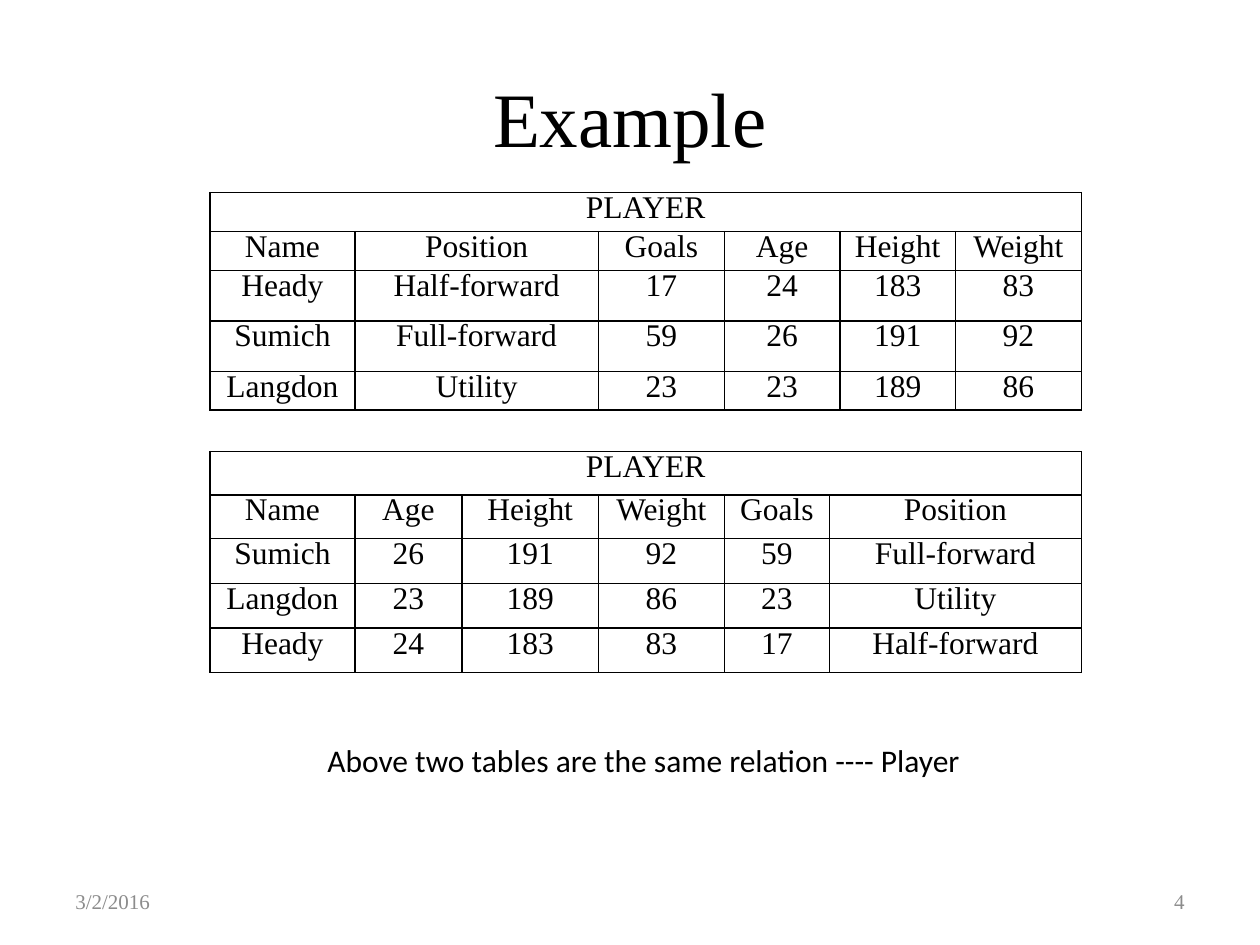
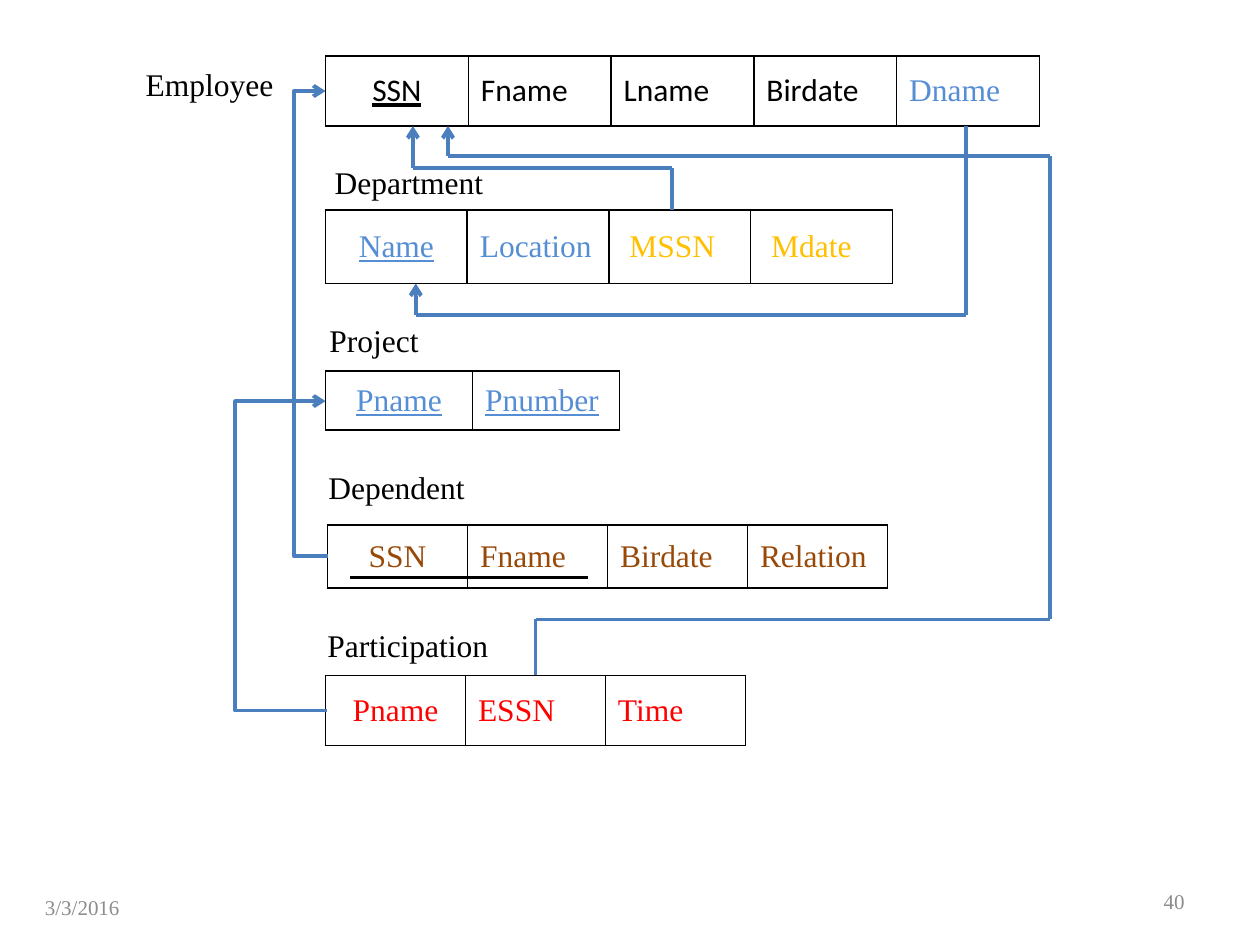
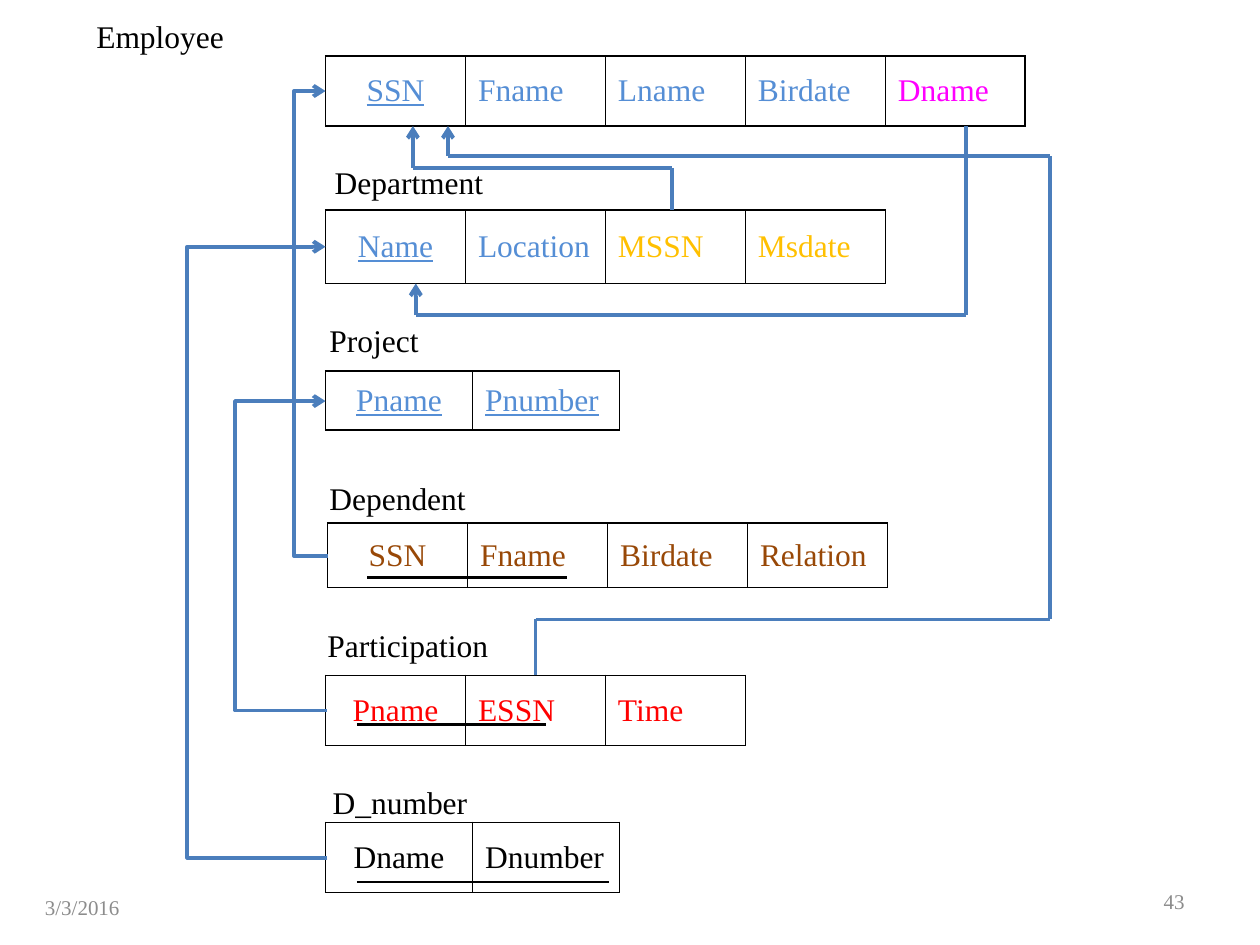
from dataclasses import dataclass
from itertools import pairwise

from lxml import etree
from pptx import Presentation
from pptx.dml.color import RGBColor
from pptx.enum.shapes import MSO_CONNECTOR
from pptx.enum.text import MSO_ANCHOR, MSO_AUTO_SIZE, PP_ALIGN
from pptx.oxml.ns import qn
from pptx.util import Inches, Pt

STRAIGHT, ELBOW = MSO_CONNECTOR.STRAIGHT, MSO_CONNECTOR.ELBOW
LEFT, CENTER, RIGHT = PP_ALIGN.LEFT, PP_ALIGN.CENTER, PP_ALIGN.RIGHT
TOP, MIDDLE = MSO_ANCHOR.TOP, MSO_ANCHOR.MIDDLE
GROW = MSO_AUTO_SIZE.SHAPE_TO_FIT_TEXT
TITLE_ONLY, BLANK = 5, 6

SERIF, SANS = "Times New Roman", "Calibri"
BLACK, GREY, BLUE, LINK = "000000", "8C8C8C", "558ED5", "4B7EBC"
GOLD, BROWN, RED, MAGENTA = "FFC000", "984807", "FF0000", "FF00FF"

# Grid: 120 columns by 90 rows, so one cell is a twelfth of an inch
WIDTH, HEIGHT = Inches(10), Inches(7.5)
CELL = WIDTH / 120
FIELD_LEFT = 31


def grid(*lengths):
    return [round(length * CELL) for length in lengths]


def rgb(colour):
    return RGBColor.from_string(colour)


@dataclass
class Field:
    text: str
    colour: str = BLACK
    font: str = SERIF
    key: bool = False


def fields(names, colour, font=SERIF, keys=()):
    return [Field(name, colour, font, name in keys) for name in names]


class Deck:
    """Holds the shared style and the slide being drawn."""

    def __init__(self):
        self.prs = Presentation()
        self.prs.slide_width, self.prs.slide_height = WIDTH, HEIGHT
        self.slide = None

    def start(self, layout, date, number, date_at=(3.1, 84)):
        self.slide = self.prs.slides.add_slide(self.prs.slide_layouts[layout])
        self.footer(date, date_at, LEFT)
        self.footer(number, (86, 83.4), RIGHT)

    def put_text(self, frame, text, size=18, colour=BLACK, font=SERIF,
                 align=LEFT, underline=None):
        paragraph = frame.paragraphs[0]
        paragraph.alignment = align
        run = paragraph.add_run()
        run.text = text
        run.font.size, run.font.name = Pt(size), font
        run.font.color.rgb = rgb(colour)
        run.font.underline = underline
        return paragraph

    def title(self, text):
        heading = self.slide.shapes.title
        heading.left, heading.top, heading.width, heading.height = grid(6, 3.6, 108, 15)
        heading.text_frame.vertical_anchor = MIDDLE
        self.put_text(heading.text_frame, text, size=44, align=CENTER)

    def box(self, left, top, width):
        frame = self.slide.shapes.add_textbox(*grid(left, top, width, 4.8)).text_frame
        frame.word_wrap = True
        return frame

    def footer(self, text, at, align):
        frame = self.box(*at, 28)
        frame.vertical_anchor = MIDDLE
        self.put_text(frame, text, size=12, colour=GREY, align=align)

    def label(self, text, left, top, width=18.7, font=SERIF):
        frame = self.box(left, top, width)
        frame.auto_size = GROW
        self.put_text(frame, text, font=font)

    def table(self, left, top, columns, rows):
        frame = self.slide.shapes.add_table(
            len(rows), len(columns), *grid(left, top, sum(columns), sum(rows)))
        table = frame.table
        table.first_row = table.horz_banding = False
        for column, width in zip(table.columns, grid(*columns)):
            column.width = width
        for row, height in zip(table.rows, grid(*rows)):
            row.height = height
        for cell in table.iter_cells():
            self.border(cell)
            cell.fill.background()
        return table

    def border(self, cell):
        properties = cell._tc.get_or_add_tcPr()
        for side in ("a:lnL", "a:lnR", "a:lnT", "a:lnB"):
            line = etree.SubElement(properties, qn(side), w=str(Pt(1)))
            fill = etree.SubElement(line, qn("a:solidFill"))
            etree.SubElement(fill, qn("a:srgbClr"), val=BLACK)

    def data_table(self, top, columns, rows, caption, records):
        table = self.table(20, top, columns, rows)
        table.cell(0, 0).merge(table.cell(0, len(columns) - 1))
        for r, record in enumerate([[caption], *records]):
            for c, value in enumerate(record):
                cell = table.cell(r, c)
                cell.vertical_anchor = TOP
                paragraph = self.put_text(cell.text_frame, value, align=CENTER)
                paragraph.line_spacing = Pt(15)

    def relation(self, top, height, width, attributes, left=FIELD_LEFT):
        table = self.table(left, top, [width] * len(attributes), [height])
        for c, field in enumerate(attributes):
            cell = table.cell(0, c)
            cell.vertical_anchor = MIDDLE
            self.put_text(cell.text_frame, field.text, colour=field.colour,
                          font=field.font, underline=field.key,
                          align=LEFT if c else CENTER)

    def connector(self, kind, start, end, colour=LINK, weight=2.25, arrow=False):
        link = self.slide.shapes.add_connector(kind, *grid(*start, *end))
        link.line.color.rgb, link.line.width = rgb(colour), Pt(weight)
        etree.SubElement(link._element.spPr, qn("a:effectLst"))
        if arrow:
            etree.SubElement(link.line._get_or_add_ln(), qn("a:tailEnd"), type="arrow")
        return link

    def key_line(self, start, end, row):
        self.connector(STRAIGHT, (start, row), (end, row), BLACK, 1.5)

    def route(self, *points):
        for start, end in pairwise(points):
            self.connector(STRAIGHT, start, end, arrow=end == points[-1])

    def loop(self, start, via, end_row):
        """Elbow from a lower row out to column via and back to a higher row."""
        left, row = start
        # Drawn downwards, then turned by 180 degrees so that it ends at the top
        link = self.connector(ELBOW, (FIELD_LEFT, end_row), (left, row), arrow=True)
        properties = link._element.spPr
        properties.find(qn("a:xfrm")).set("rot", "10800000")
        bend = round((left - via) / (left - FIELD_LEFT) * 100000)
        geometry = properties.find(qn("a:prstGeom"))
        adjustments = geometry.find(qn("a:avLst"))
        if adjustments is None:
            adjustments = etree.SubElement(geometry, qn("a:avLst"))
        etree.SubElement(adjustments, qn("a:gd"), name="adj1", fmla=f"val {bend}")


def example_slide(deck):
    deck.start(TITLE_ONLY, "3/2/2016", "4", date_at=(6, 83.4))
    deck.title("Example")
    deck.data_table(18.35, [13.8, 23.2, 12, 11, 11, 12], [3.7, 3.7, 4.8, 4.8, 3.7], "PLAYER", [
        ["Name", "Position", "Goals", "Age", "Height", "Weight"],
        ["Heady", "Half-forward", "17", "24", "183", "83"],
        ["Sumich", "Full-forward", "59", "26", "191", "92"],
        ["Langdon", "Utility", "23", "23", "189", "86"],
    ])
    deck.data_table(43, [13.8, 10.2, 13, 12, 10, 24], [4.15, 4.15, 4.27, 4.27, 4.2], "PLAYER", [
        ["Name", "Age", "Height", "Weight", "Goals", "Position"],
        ["Sumich", "26", "191", "92", "59", "Full-forward"],
        ["Langdon", "23", "189", "86", "23", "Utility"],
        ["Heady", "24", "183", "83", "17", "Half-forward"],
    ])
    deck.label("Above two tables are the same relation ---- Player", 30, 70, 65, SANS)


def company_schema(deck):
    """Relations and foreign keys that both schema slides show."""
    deck.label("Department", 30.7, 14.9)
    deck.label("Project", 30.2, 30)
    deck.label("Participation", 30, 59)
    deck.relation(35.33, 5.65, 14,
                  fields(["Pname", "Pnumber"], BLUE, keys=("Pname", "Pnumber")))
    deck.relation(64.33, 6.67, 13.33, fields(["Pname", "ESSN", "Time"], RED))
    # Manager, participant and department keys
    deck.route((64, 20), (64, 16), (39.33, 16), (39.33, 12))
    deck.route((51, 64.33), (51, 59), (100, 59), (100, 14.83), (42.67, 14.83), (42.67, 12))
    deck.route((92, 12), (92, 30), (39.6, 30), (39.6, 27))
    # Dependent to employee, participation to project
    deck.loop((31.2, 52.95), 28, 8.67)
    deck.loop((31.15, 67.67), 22.45, 38.2)


def dependent(deck, top, height):
    deck.relation(top, height, 13.33,
                  fields(["SSN", "Fname", "Birdate", "Relation"], BROWN), left=31.2)


def first_schema_slide(deck):
    deck.start(BLANK, "3/3/2016", "40")
    deck.label("Employee", 12.7, 5.6, 17)
    deck.relation(5.33, 6.67, 13.6,
                  fields(["SSN", "Fname", "Lname", "Birdate"], BLACK, SANS, keys=("SSN",))
                  + fields(["Dname"], BLUE))
    deck.relation(20, 7, 13.5, fields(["Name", "Location"], BLUE, keys=("Name",))
                  + fields([" MSSN", " Mdate"], GOLD))
    deck.label("Dependent", 30.1, 44)
    dependent(deck, 50, 6)
    deck.key_line(33.33, 56, 55)
    company_schema(deck)


def second_schema_slide(deck):
    deck.start(BLANK, "3/3/2016", "43")
    deck.label("Employee", 8, 1, 17)
    deck.relation(5.33, 6.67, 13.33,
                  fields(["SSN", "Fname", "Lname", "Birdate"], BLUE, keys=("SSN",))
                  + fields(["Dname"], MAGENTA))
    deck.relation(20, 7, 13.33, fields(["Name", "Location"], BLUE, keys=("Name",))
                  + fields(["MSSN", "Msdate"], GOLD))
    deck.label("Dependent", 30.2, 45)
    dependent(deck, 49.83, 6.15)
    company_schema(deck)
    # Department numbers
    deck.label("D_number", 30.5, 74)
    deck.relation(78.33, 6.67, 14, fields(["Dname", "Dnumber"], BLACK))
    deck.loop((31.15, 81.67), 17.95, 23.5)
    # Composite keys
    for start, end, row in ((35, 54, 55), (34, 52, 69), (34, 58, 84)):
        deck.key_line(start, end, row)


def main():
    deck = Deck()
    example_slide(deck)
    first_schema_slide(deck)
    second_schema_slide(deck)
    deck.prs.save("out.pptx")


if __name__ == "__main__":
    main()
